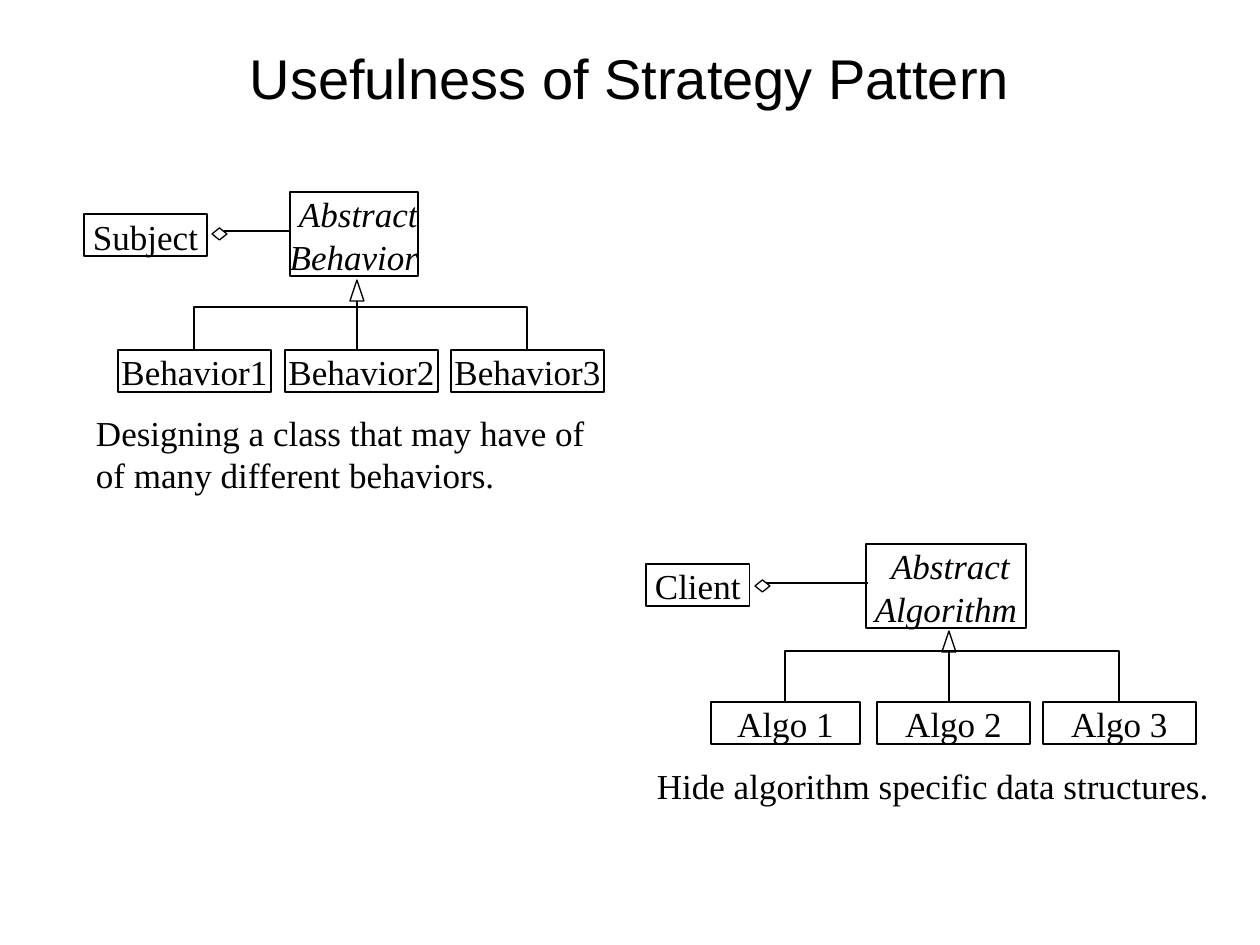
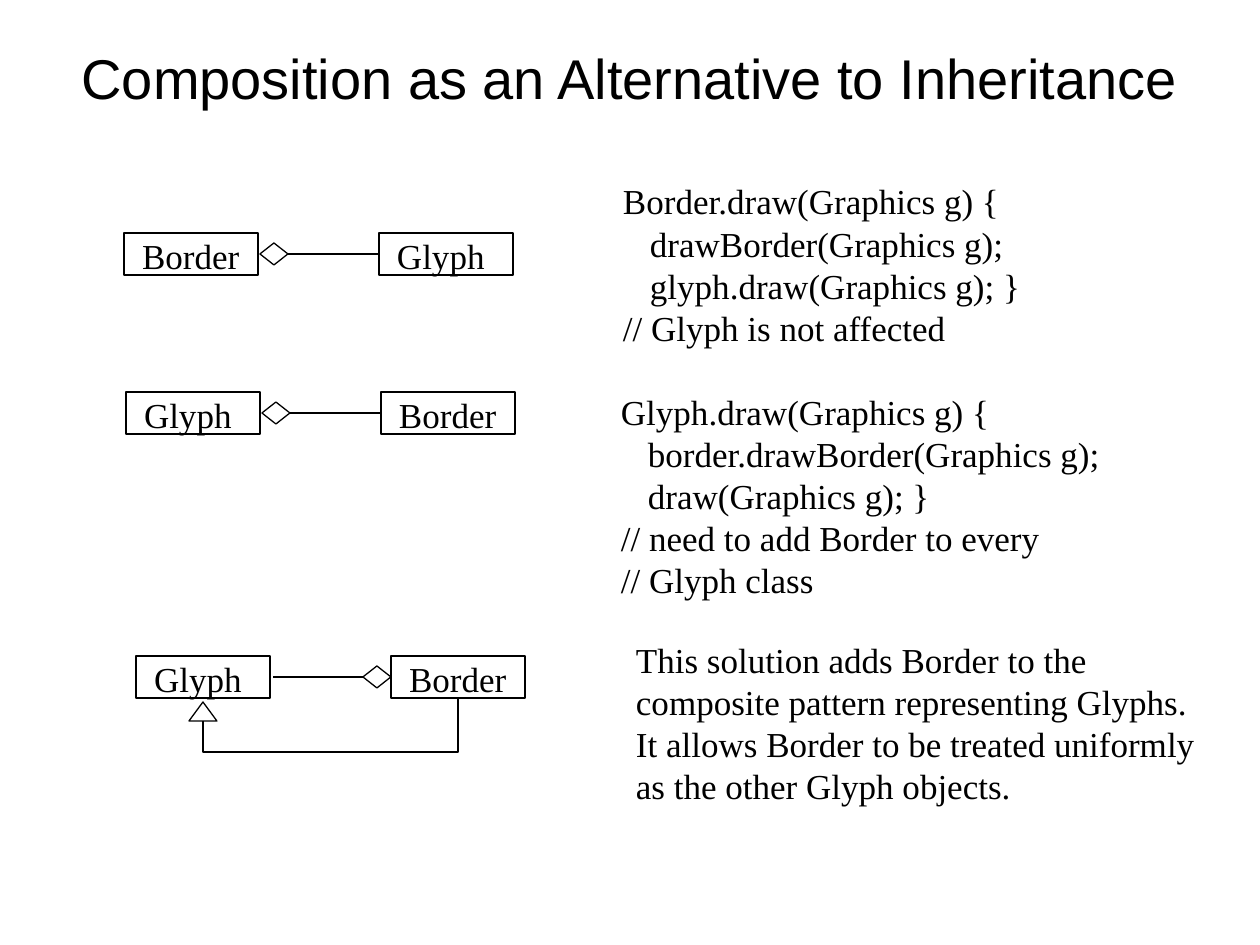
"""Builds two slides on the Strategy pattern and on composition versus inheritance."""
import pptx
import pptx.dml.color
import pptx.enum.shapes
import pptx.enum.text
import pptx.oxml
import pptx.util

SHAPE = pptx.enum.shapes.MSO_SHAPE
ALIGN = pptx.enum.text.PP_ALIGN
BLACK = pptx.dml.color.RGBColor(0, 0, 0)
TITLE_FONT, TEXT_FONT = "Arial", "Times New Roman"
PX = 914400 // 126
TITLE_AREA = (63, 38, 1134, 78)
LINE_HEIGHT = 42
SPACE = 9

STRATEGY_TITLE = "Usefulness of Strategy Pattern"
STRATEGIES = [
    {
        "owner": ("Subject", 84, 214, 123),
        "abstract": (["Abstract", "Behavior"], 290, 192, 128),
        "variants": [("Behavior1", 118, 153), ("Behavior2", 285, 153), ("Behavior3", 451, 153)],
        "variants_top": 350,
        "arrow": (350, 280),
        "bracket_top": 307,
        "diamond": (212, 228),
        "link": (224, 291, 231),
        "caption": (["Designing a class that may have of", "of many different behaviors."], 96, 410, 500),
    },
    {
        "owner": ("Client", 646, 564, 104),
        "abstract": (["Abstract", "Algorithm"], 866, 544, 160),
        "variants": [("Algo 1", 711, 149), ("Algo 2", 877, 153), ("Algo 3", 1043, 153)],
        "variants_top": 702,
        "arrow": (942, 631),
        "bracket_top": 651,
        "diamond": (755, 580),
        "link": (766, 868, 583),
        "caption": (["Hide algorithm specific data structures."], 657, 763, 570),
    },
]

COMPOSITION_TITLE = "Composition as an Alternative to Inheritance"
PAIRS = [
    ("Border", "Glyph", 124, 233, "left"),
    ("Glyph", "Border", 126, 392, "left"),
    ("Glyph", "Border", 136, 656, "right"),
]
CLASS_WIDTH, CLASS_PITCH = 134, 255
NOTES = [
    (623, 179, 480, [
        ("Border.draw(Graphics g) {", 0),
        ("drawBorder(Graphics g);", 3),
        ("glyph.draw(Graphics g); }", 3),
        ("// Glyph is not affected", 0),
    ]),
    (621, 389, 490, [
        ("Glyph.draw(Graphics g) {", 0),
        ("border.drawBorder(Graphics g);", 3),
        ("draw(Graphics g); }", 3),
        ("// need to add Border to every", 0),
        ("// Glyph class", 0),
    ]),
    (636, 637, 580, [
        ("This solution adds Border to the", 0),
        ("composite pattern representing Glyphs.", 0),
        ("It allows Border to be treated uniformly", 0),
        ("as the other Glyph objects.", 0),
    ]),
]


def scaled(*lengths):
    return [round(length * PX) for length in lengths]


def outline(item):
    item.line.color.rgb = BLACK
    item.line.width = pptx.util.Pt(0.75)


def add_page(deck, title):
    page = deck.slides.add_slide(deck.slide_layouts[5])
    box = page.shapes.title
    box.left, box.top, box.width, box.height = scaled(*TITLE_AREA)
    frame = box.text_frame
    frame.text = title
    frame.auto_size = pptx.enum.text.MSO_AUTO_SIZE.NONE
    frame.vertical_anchor = pptx.enum.text.MSO_ANCHOR.MIDDLE
    para = frame.paragraphs[0]
    para.alignment = ALIGN.CENTER
    para.font.name, para.font.size = TITLE_FONT, pptx.util.Pt(32)
    para.font.color.rgb = BLACK
    return page


def write(box, lines, align=ALIGN.LEFT, italic=False, wrap=True):
    frame = box.text_frame
    frame.margin_left = frame.margin_right = frame.margin_bottom = 0
    frame.margin_top = PX
    frame.word_wrap = wrap
    frame.vertical_anchor = pptx.enum.text.MSO_ANCHOR.TOP
    for index, (text, spaces) in enumerate(lines):
        para = frame.add_paragraph() if index else frame.paragraphs[0]
        para.text = text
        para.alignment = align
        para.line_spacing = pptx.util.Pt(24)
        para.font.name, para.font.size = TEXT_FONT, pptx.util.Pt(20)
        para.font.italic = italic
        para.font.color.rgb = BLACK
        if spaces:
            para._p.get_or_add_pPr().set("marL", str(spaces * SPACE * PX))


def add_outline(page, kind, left, top, width, height):
    shape = page.shapes.add_shape(kind, *scaled(left, top, width, height))
    shape.shadow.inherit = False
    shape.fill.background()
    outline(shape)
    return shape


def add_class(page, lines, left, top, width, **style):
    box = add_outline(page, SHAPE.RECTANGLE, left, top, width, LINE_HEIGHT * len(lines))
    write(box, lines, **style)
    return box


def add_note(page, lines, left, top, width):
    box = page.shapes.add_textbox(*scaled(left, top, width, LINE_HEIGHT * len(lines)))
    write(box, lines)


def add_line(page, *ends):
    line = page.shapes.add_connector(pptx.enum.shapes.MSO_CONNECTOR.STRAIGHT, *scaled(*ends))
    outline(line)
    line._element.spPr.append(pptx.oxml.parse_xml(
        '<a:effectLst xmlns:a="http://schemas.openxmlformats.org/drawingml/2006/main"/>'))
    return line


def add_bracket(page, points):
    builder = page.shapes.build_freeform(*points[0], scale=PX)
    builder.add_line_segments(points[1:], close=False)
    bracket = builder.convert_to_shape()
    bracket.shadow.inherit = False
    bracket.fill.background()
    outline(bracket)


def add_strategy(page, strategy):
    names, left, top, width = strategy["abstract"]
    lines = [(name, 1 - index) for index, name in enumerate(names)]
    add_class(page, lines, left, top, width, align=ALIGN.CENTER, italic=True, wrap=False)

    base = strategy["variants_top"]
    for name, left, width in strategy["variants"]:
        add_class(page, [(name, 0)], left, base, width, align=ALIGN.CENTER)
    centres = [left + width // 2 for _, left, width in strategy["variants"]]
    first, last, roof = centres[0], centres[-1], strategy["bracket_top"]
    add_bracket(page, [(first, base), (first, roof), (last, roof), (last, base)])

    left, top = strategy["arrow"]
    add_outline(page, SHAPE.ISOSCELES_TRIANGLE, left, top, 14, 21)
    add_line(page, left + 7, top + 21, left + 7, base)

    name, left, top, width = strategy["owner"]
    add_class(page, [(name, 1)], left, top, width)
    add_outline(page, SHAPE.DIAMOND, *strategy["diamond"], 15, 12)
    start, end, level = strategy["link"]
    add_line(page, start, level, end, level)
    lines, left, top, width = strategy["caption"]
    add_note(page, [(line, 0) for line in lines], left, top, width)


def add_pair(page, first, second, left, top, diamond_side):
    add_class(page, [(first, 2)], left, top, CLASS_WIDTH)
    right = left + CLASS_PITCH
    part = add_class(page, [(second, 2)], right, top, CLASS_WIDTH)
    middle = top + LINE_HEIGHT // 2
    if diamond_side == "left":
        add_outline(page, SHAPE.DIAMOND, left + 136, top + 10, 28, 22)
        add_line(page, left + 164, middle, right, middle).end_connect(part, 1)
    else:
        add_outline(page, SHAPE.DIAMOND, right - 28, top + 10, 28, 22)
        add_line(page, right - 28, middle, left + 137, middle)


def add_inheritance(page, left, top):
    parent = left + CLASS_WIDTH // 2
    child = parent + CLASS_PITCH
    bottom = top + LINE_HEIGHT
    add_outline(page, SHAPE.ISOSCELES_TRIANGLE, parent - 14, bottom + 4, 28, 19)
    floor = bottom + 54
    add_bracket(page, [(parent, bottom + 23), (parent, floor), (child, floor), (child, bottom)])


def main():
    deck = pptx.Presentation()
    deck.slide_width, deck.slide_height = pptx.util.Inches(10), pptx.util.Inches(7.5)

    page = add_page(deck, STRATEGY_TITLE)
    for strategy in STRATEGIES:
        add_strategy(page, strategy)

    page = add_page(deck, COMPOSITION_TITLE)
    for pair in PAIRS:
        add_pair(page, *pair)
    add_inheritance(page, *PAIRS[-1][2:4])
    for left, top, width, lines in NOTES:
        add_note(page, lines, left, top, width)

    deck.save("out.pptx")


if __name__ == "__main__":
    main()
